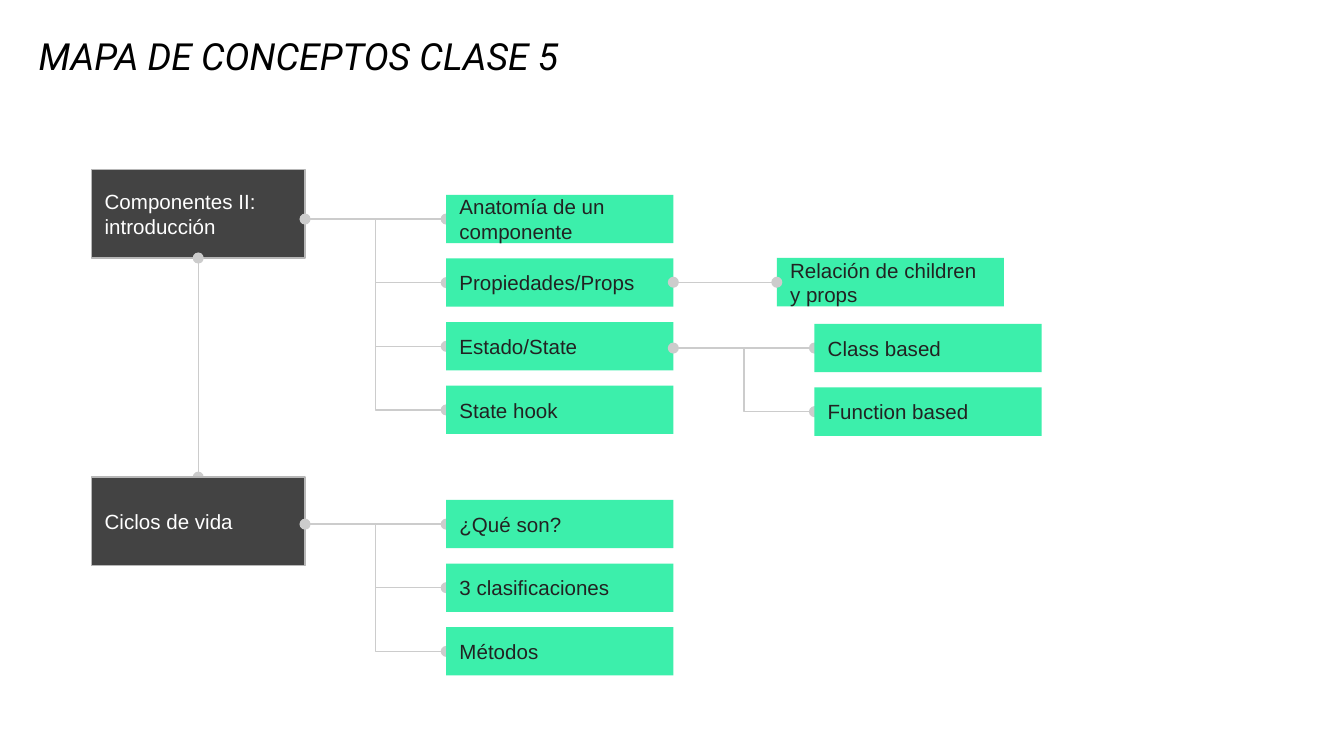
from dataclasses import dataclass

from lxml import etree
from pptx import Presentation, util as u
from pptx.dml.color import RGBColor
from pptx.enum import shapes, text
from pptx.oxml.ns import qn

COLORS = {"dark": "434343", "border": "B7B7B7", "green": "3CEFAB",
          "line": "CCCCCC", "ink": "222222", "white": "FFFFFF", "black": "000000"}

SLIDE_W = u.Inches(10)
SLIDE_H = SLIDE_W * 9 // 16
ROW = 1.42 / 3                             # four topic rows span three equal steps
TOPIC_W, TOPIC_H = 1.69, 0.36
UNIT_X, UNIT_W, UNIT_H = 0.68, 1.59, 0.66
UNIT_RIGHT = UNIT_X + UNIT_W
TOPIC_X, DETAIL_X, SUBTOPIC_X = 3.32, 5.78, 6.06
TOPIC_RIGHT = TOPIC_X + TOPIC_W
UNIT_TOPS = (1.26, 3.55)


@dataclass(frozen=True)
class Branch:
    """Topics stacked in one column, all linked to a point on their parent."""
    parent_right: float
    left: float
    top: float
    topics: tuple[str, ...]
    line_in_front: bool = False


BRANCHES = {
    "components": Branch(UNIT_RIGHT, TOPIC_X, 1.45, (
        "Anatomía de un componente", "Propiedades/Props", "Estado/State", "State hook")),
    "props": Branch(TOPIC_RIGHT, DETAIL_X, 1.92, ("Relación de children y props",), True),
    "state": Branch(TOPIC_RIGHT, SUBTOPIC_X, 2.41, ("Class based", "Function based")),
    "cycles": Branch(UNIT_RIGHT, TOPIC_X, 3.72, ("¿Qué son?", "3 clasificaciones", "Métodos")),
}


def rgb(name: str) -> RGBColor:
    return RGBColor.from_string(COLORS[name])


def write(shape, wording: str, size: float, font: str, color: str, anchor, italic=None) -> None:
    frame = shape.text_frame
    frame.text = wording
    frame.word_wrap = True
    frame.vertical_anchor = anchor
    frame.margin_left = frame.margin_right = u.Inches(0.1)
    frame.margin_top = frame.margin_bottom = u.Inches(0.1)
    paragraph = frame.paragraphs[0]
    paragraph.alignment = text.PP_ALIGN.LEFT
    run_font = paragraph.runs[0].font
    run_font.size, run_font.name, run_font.italic = u.Pt(size), font, italic
    run_font.color.rgb = rgb(color)


def add_box(slide, left: float, top: float, width: float, height: float,
            wording: str, fill: str, ink: str, border: str | None = None) -> None:
    box = slide.shapes.add_shape(shapes.MSO_SHAPE.RECTANGLE,
                                 *map(u.Inches, (left, top, width, height)))
    box.shadow.inherit = False
    box.fill.solid()
    box.fill.fore_color.rgb = rgb(fill)
    if border:
        box.line.color.rgb = rgb(border)
        box.line.width = u.Pt(0.75)
    else:
        box.line.fill.background()
    write(box, wording, 11, "Arial", ink, text.MSO_ANCHOR.MIDDLE)


def add_link(slide, x1: float, y1: float, x2: float, y2: float) -> None:
    """Straight link with a dot at each end, or an elbow with a dot at its far end."""
    straight = x1 == x2 or y1 == y2
    kind = shapes.MSO_CONNECTOR.STRAIGHT if straight else shapes.MSO_CONNECTOR.ELBOW
    link = slide.shapes.add_connector(kind, *map(u.Inches, (x1, y1, x2, y2)))
    link.line.color.rgb = rgb("line")
    link.line.width = u.Pt(0.75)
    line = link.line._get_or_add_ln()
    for end in ("a:headEnd", "a:tailEnd") if straight else ("a:tailEnd",):
        etree.SubElement(line, qn(end), type="oval", w="med", len="med")
    etree.SubElement(link._element.spPr, qn("a:effectLst"))


def add_branch(slide, branch: Branch) -> None:
    start_y = branch.top + TOPIC_H / 2
    for row, topic in enumerate(branch.topics):
        top = branch.top + row * ROW
        link = (branch.parent_right, start_y, branch.left, start_y + row * ROW)
        if not branch.line_in_front:
            add_link(slide, *link)
        add_box(slide, branch.left, top, TOPIC_W, TOPIC_H, topic, "green", "ink")
        if branch.line_in_front:
            add_link(slide, *link)


def add_unit(slide, top: float, wording: str) -> None:
    add_box(slide, UNIT_X, top, UNIT_W, UNIT_H, wording, "dark", "white", "border")


def main() -> None:
    deck = Presentation()
    deck.slide_width, deck.slide_height = SLIDE_W, SLIDE_H
    slide = deck.slides.add_slide(deck.slide_layouts[6])

    title = slide.shapes.add_textbox(*map(u.Inches, (0.19, 0.22, 8.26, 0.46)))
    write(title, "MAPA DE CONCEPTOS CLASE 5", 20, "Roboto", "black",
          text.MSO_ANCHOR.BOTTOM, italic=True)

    first_top, second_top = UNIT_TOPS
    unit_center = UNIT_X + UNIT_W / 2
    add_unit(slide, first_top, "Componentes II: introducción")
    for name in ("components", "props", "state"):
        add_branch(slide, BRANCHES[name])
    add_link(slide, unit_center, first_top + UNIT_H, unit_center, second_top)
    add_unit(slide, second_top, "Ciclos de vida")
    add_branch(slide, BRANCHES["cycles"])

    deck.save("out.pptx")


if __name__ == "__main__":
    main()
